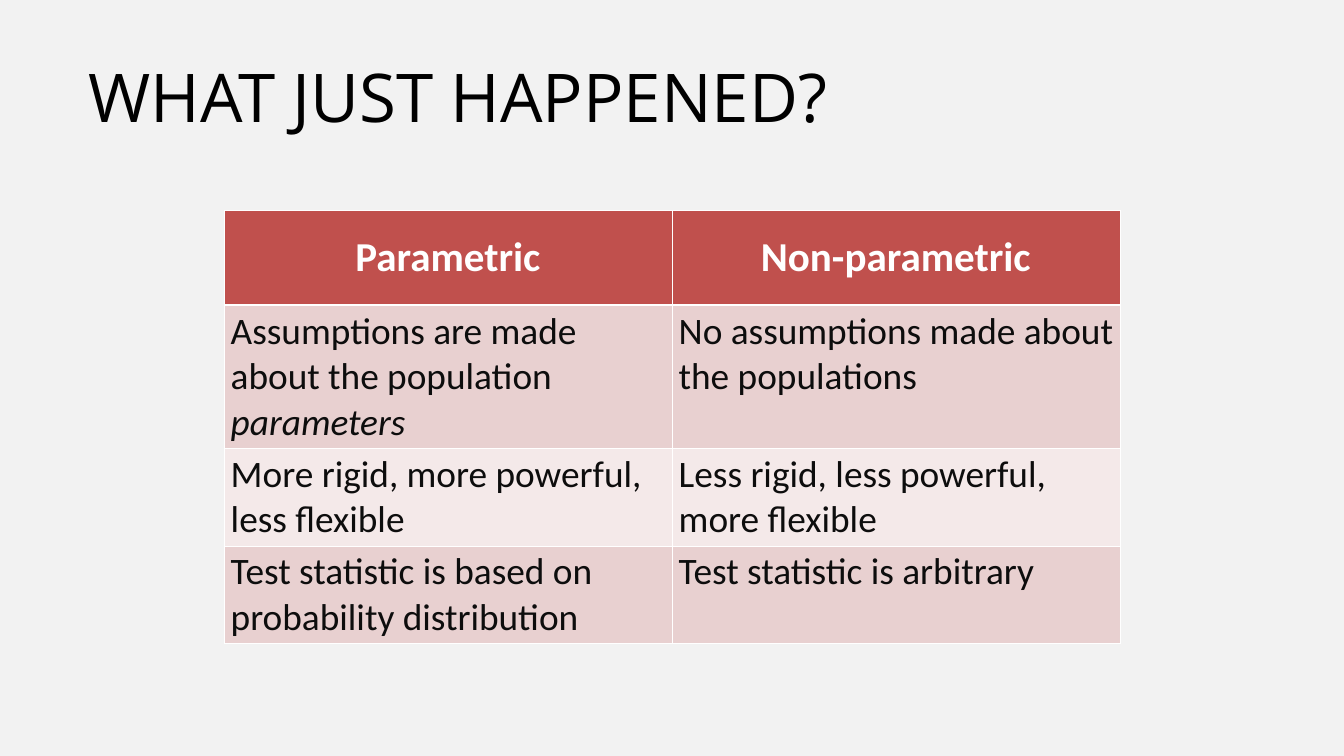
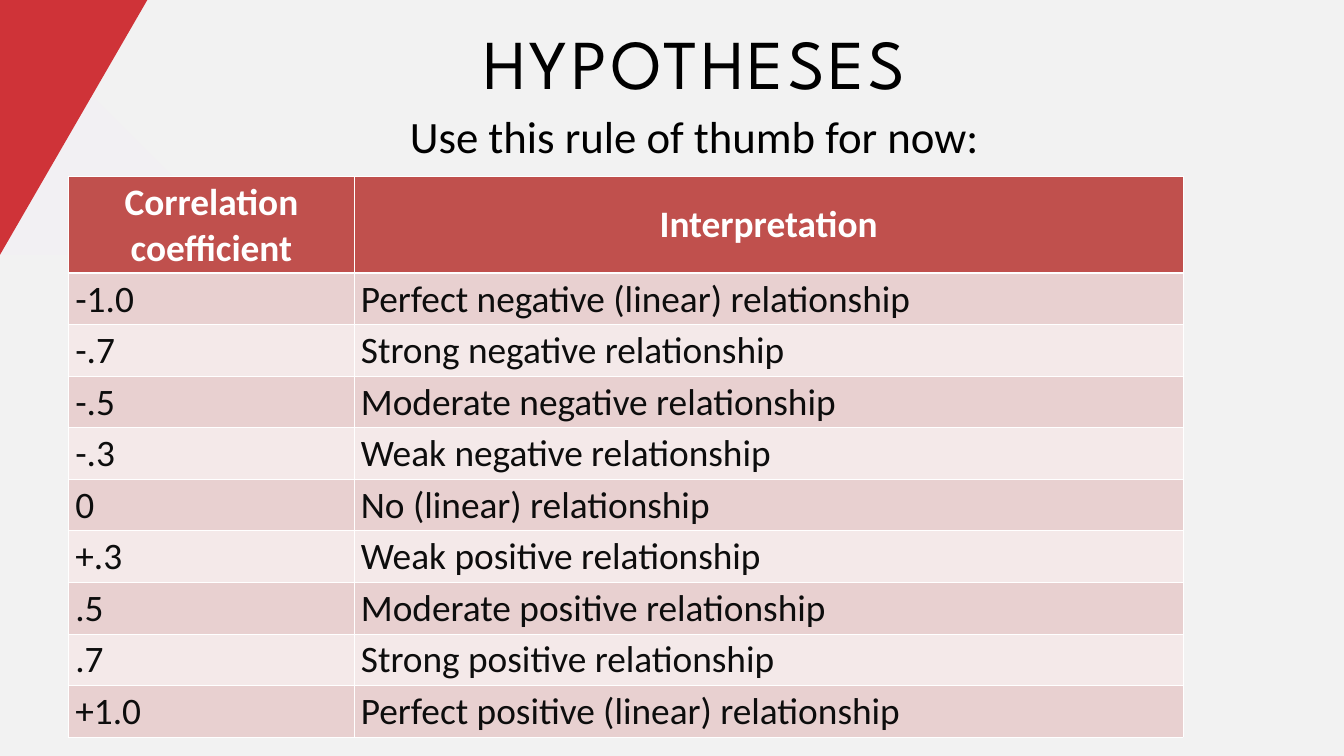
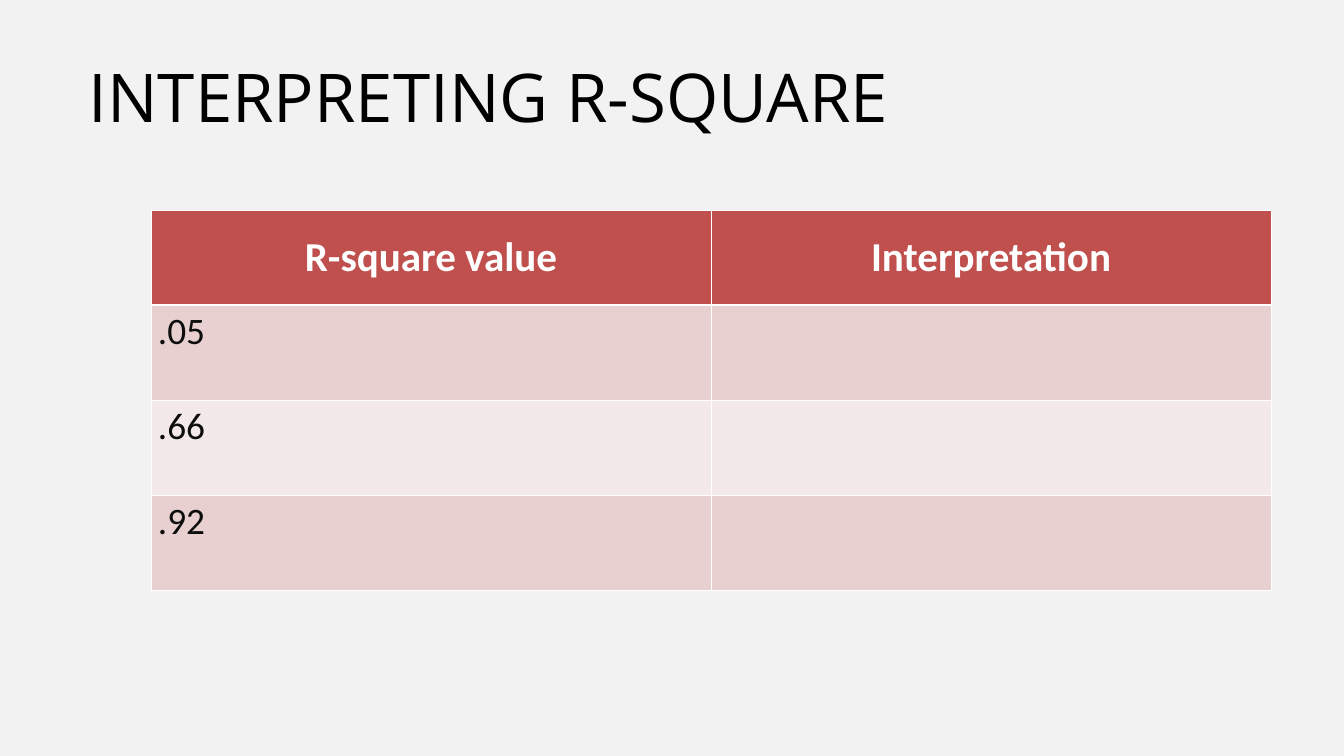
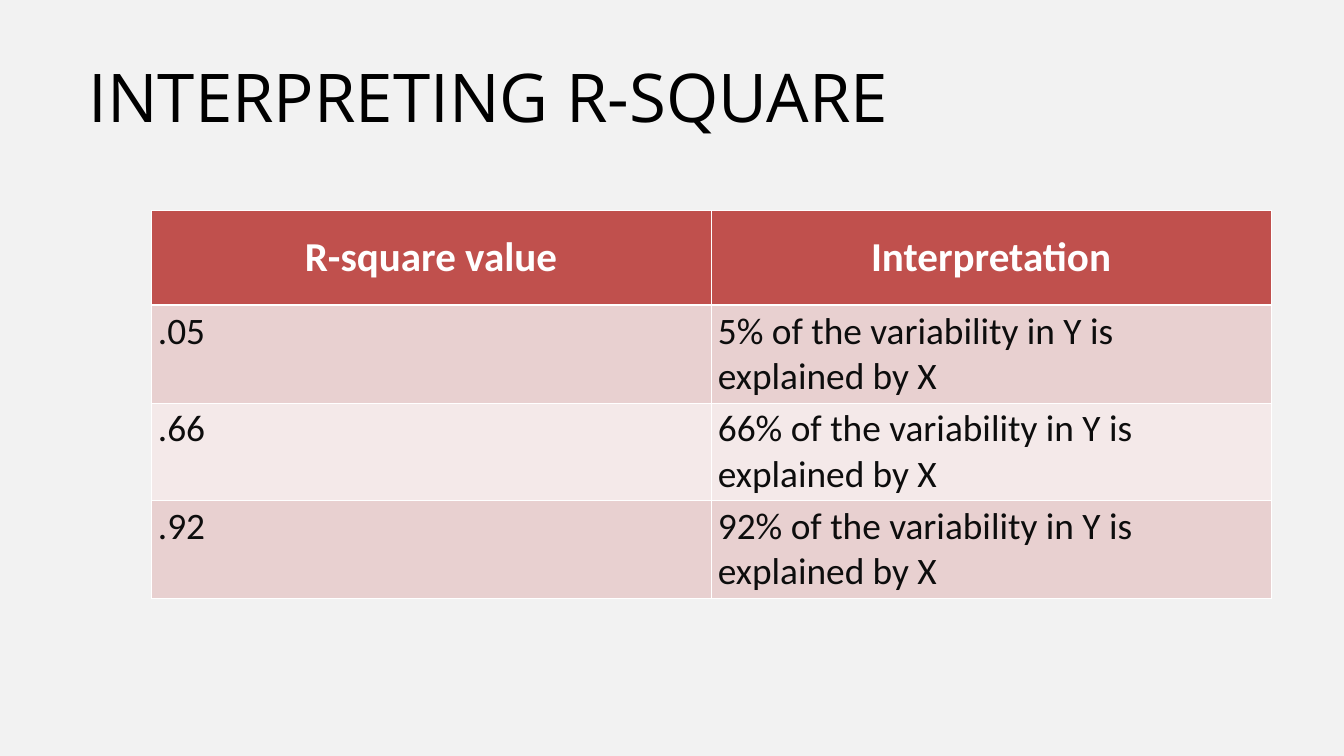
from lxml.etree import SubElement
from pptx import Presentation
from pptx.dml.color import RGBColor
from pptx.enum.text import MSO_ANCHOR as Anchor, MSO_AUTO_SIZE as AutoSize, PP_ALIGN as Align
from pptx.oxml.ns import qn
from pptx.util import Pt

BACKGROUND, BLACK, WHITE = "F2F2F2", "000000", "FFFFFF"
HEADER_FILL, BODY_FILLS, BODY_TEXT = "C0504D", ("F4E9E9", "E8D0D0"), "0D0D0D"
RED, PALE_VIOLET = "CF3338", "F2F0F4"
BODY_SIZE = 40

LEFT_TITLE = {
    "box": (95, 45, 1008.5, 95), "align": Align.LEFT, "line": 100.8,
    "font": "Open Sans", "size": 72, "tracking": 0,
}
CENTERED_TITLE = {
    "box": (129, 21, 1230, 90.5), "align": Align.CENTER, "line": 90,
    "font": "League Spartan", "size": 75, "tracking": 380,
}
R_SQUARE_TABLE = {
    "title": "INTERPRETING R-SQUARE", "style": LEFT_TITLE, "at": (162, 225),
    "columns": (600, 600), "row_heights": (102, 102), "header_size": 44,
}
R_SQUARES = (".05", ".66", ".92")
R_SQUARE_HEADER = ("R-square value", "Interpretation")

# Asterisks enclose italic words.
SLIDES = [
    {
        "title": "WHAT JUST HAPPENED?", "style": LEFT_TITLE, "at": (240, 225),
        "columns": (480, 480), "row_heights": (102, 102), "header_size": 44,
        "rows": [
            ("Parametric", "Non-parametric"),
            ("Assumptions are made about the population *parameters*",
             "No assumptions made about the populations"),
            ("More rigid, more powerful, less flexible",
             "Less rigid, less powerful, more flexible"),
            ("Test statistic is based on probability distribution",
             "Test statistic is arbitrary"),
        ],
    },
    {
        "title": "HYPOTHESES", "style": CENTERED_TITLE, "at": (73.5, 189.5),
        "columns": (306, 888), "row_heights": (83.5, 44.64), "header_size": 40,
        "subtitle": "Use this rule of thumb for now:",
        "triangles": [
            (PALE_VIOLET, 85, [(269.5, 273), (0, 273), (0, 4.5)]),
            (RED, 100, [(166.5, -15), (0, 273), (-166.5, -15)]),
        ],
        "rows": [
            ("Correlation coefficient", "Interpretation"),
            ("-1.0", "Perfect negative (linear) relationship"),
            ("-.7", "Strong negative relationship"),
            ("-.5", "Moderate negative relationship"),
            ("-.3", "Weak negative relationship"),
            ("0", "No (linear) relationship"),
            ("+.3", "Weak positive relationship"),
            (".5", "Moderate positive relationship"),
            (".7", "Strong positive relationship"),
            ("+1.0", "Perfect positive (linear) relationship"),
        ],
    },
    R_SQUARE_TABLE | {
        "rows": [R_SQUARE_HEADER] + [(value, "") for value in R_SQUARES],
    },
    R_SQUARE_TABLE | {
        "rows": [R_SQUARE_HEADER] + [
            (value, f"{value[1:].lstrip('0')}% of the variability in Y is explained by X")
            for value in R_SQUARES
        ],
    },
]


def color(hex_string):
    return RGBColor.from_string(hex_string)


def add_run(paragraph, text, hex_color, **formats):
    run = paragraph.add_run()
    run.text = text
    run.font.color.rgb = color(hex_color)
    for name, value in formats.items():
        setattr(run.font, name, value)
    return run


presentation = Presentation()
presentation.slide_width, presentation.slide_height = Pt(1440), Pt(810)
master_fill = presentation.slide_master.background.fill
master_fill.solid()
master_fill.fore_color.rgb = color(BACKGROUND)
title_only = presentation.slide_layouts.get_by_name("Title Only")

for content in SLIDES:
    slide = presentation.slides.add_slide(title_only)

    for fill, opacity, points in content.get("triangles", []):
        start, *others = [(Pt(x), Pt(y)) for x, y in points]
        builder = slide.shapes.build_freeform(*start)
        builder.add_line_segments(others, close=True)
        triangle = builder.convert_to_shape()
        triangle.shadow.inherit = False
        triangle.line.fill.background()
        triangle.fill.solid()
        triangle.fill.fore_color.rgb = color(fill)
        if opacity < 100:
            fill_color = triangle.fill._xPr.find(".//" + qn("a:srgbClr"))
            SubElement(fill_color, qn("a:alpha"), val=str(opacity * 1000))

    # Title
    style = content["style"]
    title = slide.shapes.title
    title.left, title.top, title.width, title.height = map(Pt, style["box"])
    frame = title.text_frame
    title_format = {
        "margin_left": 0, "margin_top": 0, "margin_right": 0, "margin_bottom": 0,
        "vertical_anchor": Anchor.TOP, "auto_size": AutoSize.NONE, "word_wrap": True,
    }
    for name, value in title_format.items():
        setattr(frame, name, value)
    paragraph = frame.paragraphs[0]
    paragraph.alignment = style["align"]
    paragraph.line_spacing = Pt(style["line"])
    run = add_run(paragraph, content["title"], BLACK, name=style["font"], size=Pt(style["size"]))
    if style["tracking"]:
        run.font._element.set("spc", str(style["tracking"]))

    if "subtitle" in content:
        subtitle = slide.shapes.add_textbox(Pt(156), Pt(112.5), Pt(1176), Pt(65.5))
        subtitle.text_frame.word_wrap = True
        paragraph = subtitle.text_frame.paragraphs[0]
        paragraph.alignment = Align.CENTER
        add_run(paragraph, content["subtitle"], BLACK, name="Calibri", size=Pt(48))

    # Table
    rows, columns = content["rows"], content["columns"]
    header_height, body_height = content["row_heights"]
    table_height = header_height + body_height * (len(rows) - 1)
    left, top = content["at"]
    table = slide.shapes.add_table(
        len(rows), len(columns), Pt(left), Pt(top), Pt(sum(columns)), Pt(table_height)
    ).table
    for column, width in zip(table.columns, columns):
        column.width = Pt(width)

    for row_index, texts in enumerate(rows):
        is_header = row_index == 0
        table.rows[row_index].height = Pt(header_height if is_header else body_height)
        for column_index, text in enumerate(texts):
            cell = table.cell(row_index, column_index)
            cell.vertical_anchor = Anchor.MIDDLE if is_header else Anchor.TOP
            paragraph = cell.text_frame.paragraphs[0]
            paragraph.alignment = Align.CENTER if is_header else Align.LEFT
            for part_index, part in enumerate(text.split("*")):
                if part:
                    add_run(
                        paragraph, part, WHITE if is_header else BODY_TEXT, name="Calibri",
                        size=Pt(content["header_size"] if is_header else BODY_SIZE),
                        bold=is_header, italic=part_index % 2 == 1,
                    )

            # Borders come before the fill in the cell properties.
            properties = cell._tc.get_or_add_tcPr()
            border_widths = {"L": 1, "R": 1, "T": 3 if row_index == 1 else 1, "B": 3 if is_header else 1}
            for side, width in border_widths.items():
                border = SubElement(properties, qn(f"a:ln{side}"), w=str(Pt(width)))
                border_fill = SubElement(border, qn("a:solidFill"))
                SubElement(border_fill, qn("a:srgbClr"), val=WHITE)
            cell.fill.solid()
            cell.fill.fore_color.rgb = color(HEADER_FILL if is_header else BODY_FILLS[row_index % 2])

presentation.save("out.pptx")
